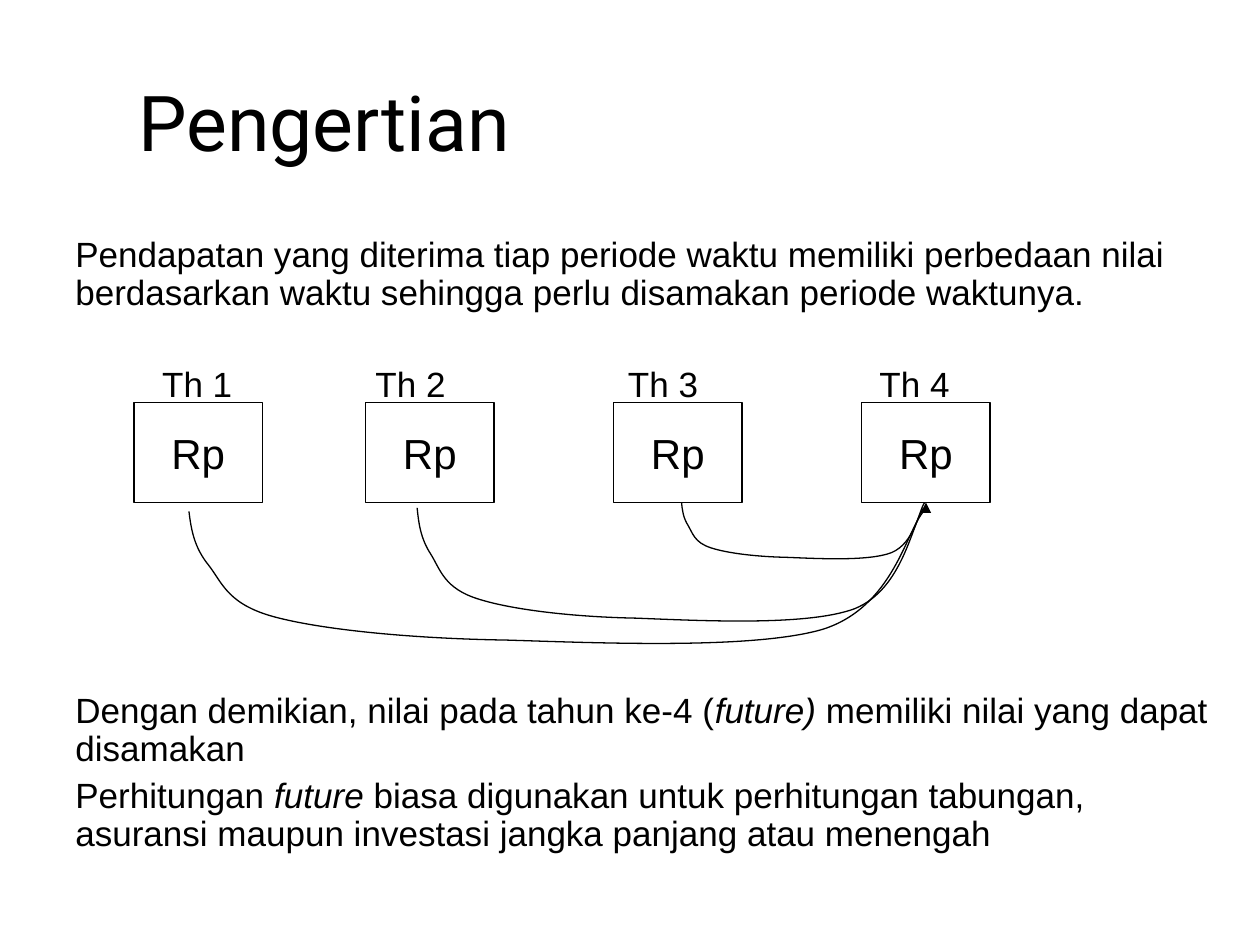
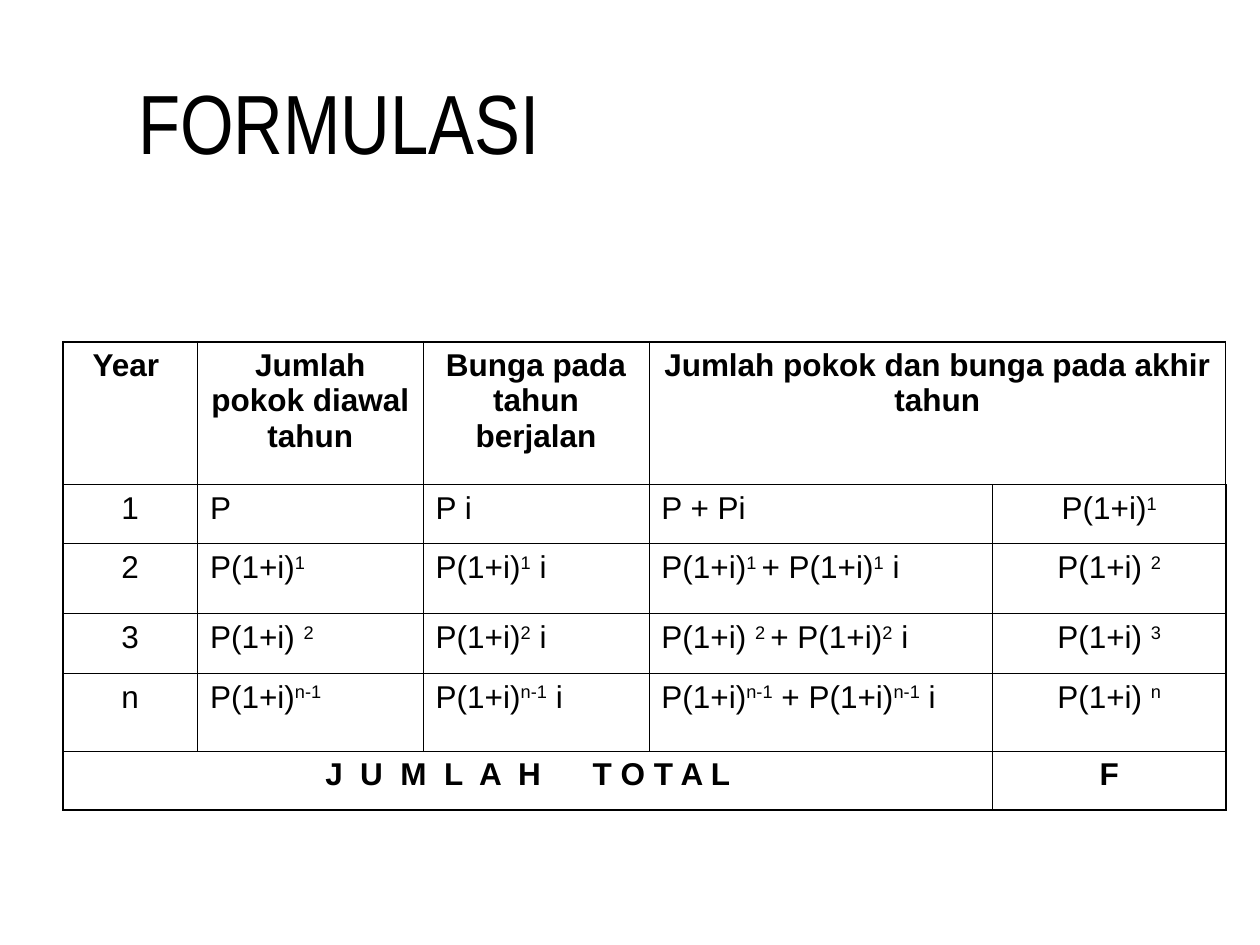
from lxml import etree
from pptx import Presentation
from pptx import util as u
from pptx.dml.color import RGBColor
from pptx.enum import shapes, text
from pptx.oxml.ns import qn

# Shared style
COLORS = {"ink": "000000"}
INK = RGBColor.from_string(COLORS["ink"])
BODY_FONT = "Arial"
THIN, THICK = u.Pt(0.45), u.Pt(1.08)

# Body text: space before (pt) and content; pieces between bars are italic
BODY = [
    (0, "Pendapatan yang diterima tiap periode waktu memiliki perbedaan nilai "
        "berdasarkan waktu sehingga perlu disamakan periode waktunya."),
    (30.5, "\tTh 1\tTh 2\tTh 3\tTh 4"),
    (165, "Dengan demikian, nilai pada tahun ke-4 (|future)| memiliki nilai "
          "yang dapat disamakan"),
    (5, "Perhitungan |future| biasa digunakan untuk perhitungan tabungan, "
        "asuransi maupun investasi jangka panjang atau menengah"),
]

# Timeline (cm): tab stops of the year labels, left sides of the boxes
YEAR_TABS = [1.75, 6.05, 11.14, 16.21]
BOX_LEFTS = [2.7, 7.37, 12.37, 17.37]
BOX_TOP, BOX_W, BOX_H = 8.12, 2.59, 2.01

# Left, top, width, height of each curve leading to year 4 (cm)
CURVES = [(3.81, 10.31, 14.81, 2.79), (8.41, 10.24, 10.21, 2.39),
          (13.74, 10.13, 4.9, 1.19)]
# Bezier knots and handles of the curve, in percent of its frame
ARC = [(0, 0), (0.3, 13), (0.7, 26), (2.7, 39), (4.6, 52), (5.3, 68),
       (12.2, 77), (18.9, 86), (30.9, 92), (43.2, 93), (55.6, 95), (77, 100),
       (86.4, 85), (95.9, 68.5), (97.6, 14.5), (100, 0)]

# Table: pieces between bars are superscripts in the formula rows
COL_WIDTHS = [2.71, 4.55, 4.55, 6.93, 4.7]
ROW_HEIGHTS = [2.88, 1.19, 1.41, 1.2, 1.57, 1.19]
ROWS = [
    ["Year ", "Jumlah pokok diawal tahun", "Bunga pada tahun berjalan",
     "Jumlah pokok dan bunga pada akhir tahun", ""],
    ["1", "P", "P i", "P + Pi", "P(1+i)|1"],
    ["2", "P(1+i)|1", "P(1+i)|1| i", "P(1+i)|1 |+ P(1+i)|1| i", "P(1+i) |2"],
    ["3", "P(1+i) |2", "P(1+i)|2| i", "P(1+i) |2 |+ P(1+i)|2| i",
     "P(1+i) |3"],
    ["n", "P(1+i)|n-1", "P(1+i)|n-1| i", "P(1+i)|n-1| + P(1+i)|n-1| i",
     "P(1+i) |n"],
    ["J U M L A H| |T O T A L", "", "", "", "F"],
]


def write(p, content, size, font=BODY_FONT, bold=False):
    """Fill a paragraph, one run per piece; return the runs."""
    for piece in content.split("|"):
        r = p.add_run()
        r.text = piece
        r.font.size = u.Pt(size)
        r.font.name = font
        r.font.bold = bold
        r.font.color.rgb = INK
    return p.runs


def add_text(s, left, top, width, height):
    sp = s.shapes.add_textbox(u.Cm(left), u.Cm(top), u.Cm(width), u.Cm(height))
    sp.text_frame.word_wrap = True
    return sp.text_frame


def add_title(s, title, size, font):
    tf = add_text(s, 2.54, 0.84, 20.32, 3.18)
    tf.vertical_anchor = text.MSO_ANCHOR.MIDDLE
    write(tf.paragraphs[0], title, size, font)


def set_tabs(p, stops):
    tabs = etree.SubElement(p._p.get_or_add_pPr(), qn("a:tabLst"))
    for stop in stops:
        etree.SubElement(tabs, qn("a:tab"), pos=str(u.Cm(stop)), algn="l")


def add_body(s):
    tf = add_text(s, 1.27, 4.65, 23.62, 12.7)
    for i, (space, content) in enumerate(BODY):
        p = tf.add_paragraph() if i else tf.paragraphs[0]
        p.line_spacing = u.Pt(21.7)
        p.space_before = u.Pt(space)
        for r in write(p, content, 20)[1::2]:
            r.font.italic = True
    set_tabs(tf.paragraphs[1], YEAR_TABS)


def style_line(sp):
    sp.line.color.rgb = INK
    sp.line.width = u.Pt(0.75)


def outline(sp):
    sp.shadow.inherit = False
    sp.fill.background()
    style_line(sp)


def add_box(s, left):
    sp = s.shapes.add_shape(shapes.MSO_SHAPE.RECTANGLE, u.Cm(left),
                            u.Cm(BOX_TOP), u.Cm(BOX_W), u.Cm(BOX_H))
    outline(sp)
    tf = sp.text_frame
    tf.word_wrap = False
    tf.vertical_anchor = text.MSO_ANCHOR.MIDDLE
    p = tf.paragraphs[0]
    p.alignment = text.PP_ALIGN.CENTER
    write(p, "Rp", 24)
    return sp


def add_curve(s, left, top, width, height):
    points = [(u.Cm(left + x * width / 100), u.Cm(top + y * height / 100))
              for x, y in ARC]
    fb = s.shapes.build_freeform(*points[0])
    fb.add_line_segments(points[1:], close=False)
    sp = fb.convert_to_shape()
    outline(sp)
    # Turn each three segments into one Bezier segment
    lines = list(sp._element.iter(qn("a:lnTo")))
    outline_path = lines[0].getparent()
    for i in range(0, len(lines), 3):
        bezier = etree.SubElement(outline_path, qn("a:cubicBezTo"))
        for line in lines[i:i + 3]:
            bezier.append(line[0])
            outline_path.remove(line)


def add_arrow_up(s, box):
    """Short arrow into the middle of the box's lower side."""
    x, y = box.left + box.width // 2, box.top + box.height
    cn = s.shapes.add_connector(shapes.MSO_CONNECTOR.STRAIGHT,
                                x, y + u.Cm(0.2), x, y)
    cn.end_connect(box, 2)
    style_line(cn)
    etree.SubElement(cn.line._get_or_add_ln(), qn("a:tailEnd"),
                     type="triangle")
    etree.SubElement(cn._element.spPr, qn("a:effectLst"))


def set_borders(cell, widths):
    tcPr = cell._tc.get_or_add_tcPr()
    for side, width in zip("LRTB", widths):
        ln = etree.SubElement(tcPr, qn("a:ln" + side), w=str(width))
        fill = etree.SubElement(ln, qn("a:solidFill"))
        etree.SubElement(fill, qn("a:srgbClr"), val=COLORS["ink"])


def add_formula_table(s):
    n_rows, n_cols = len(ROWS), len(COL_WIDTHS)
    tbl = s.shapes.add_table(n_rows, n_cols, u.Cm(1.27), u.Cm(6.89),
                             u.Cm(sum(COL_WIDTHS)),
                             u.Cm(sum(ROW_HEIGHTS))).table
    tbl.first_row = tbl.horz_banding = False
    for col, width in zip(tbl.columns, COL_WIDTHS):
        col.width = u.Cm(width)
    for row, height in zip(tbl.rows, ROW_HEIGHTS):
        row.height = u.Cm(height)
    last_row, last_col = n_rows - 1, n_cols - 1
    tbl.cell(0, 3).merge(tbl.cell(0, last_col))
    tbl.cell(last_row, 0).merge(tbl.cell(last_row, 3))

    for i, row in enumerate(ROWS):
        strong = i in (0, last_row)
        for j, content in enumerate(row):
            cell = tbl.cell(i, j)
            edges = (j == 0, j == last_col, i == 0, i == last_row)
            set_borders(cell, [THICK if e else THIN for e in edges])
            cell.fill.background()
            if not content:
                continue
            p = cell.text_frame.paragraphs[0]
            p.space_before = u.Pt(4.5)
            if strong or j in (0, last_col):
                p.alignment = text.PP_ALIGN.CENTER
            runs = write(p, content, 18, bold=strong)
            if not strong:
                for r in runs[1::2]:
                    r._r.get_or_add_rPr().set("baseline", "30000")

    # Letter spacing of the total row
    total = tbl.cell(last_row, 0).text_frame.paragraphs[0]
    for r, spacing in zip(total.runs, ("250", "2200")):
        r._r.get_or_add_rPr().set("spc", spacing)


def main():
    prs = Presentation()
    prs.slide_width, prs.slide_height = u.Cm(25.4), u.Cm(19.05)
    blank = prs.slide_layouts[6]

    # Slide 1: meaning
    s = prs.slides.add_slide(blank)
    add_title(s, "Pengertian", 44, "Roboto")
    add_body(s)
    boxes = [add_box(s, left) for left in BOX_LEFTS]
    for curve in CURVES:
        add_curve(s, *curve)
    add_arrow_up(s, boxes[-1])

    # Slide 2: formulas
    s = prs.slides.add_slide(blank)
    add_title(s, "FORMULASI", 48, "Arial Narrow")
    add_formula_table(s)

    prs.save("out.pptx")


if __name__ == "__main__":
    main()
